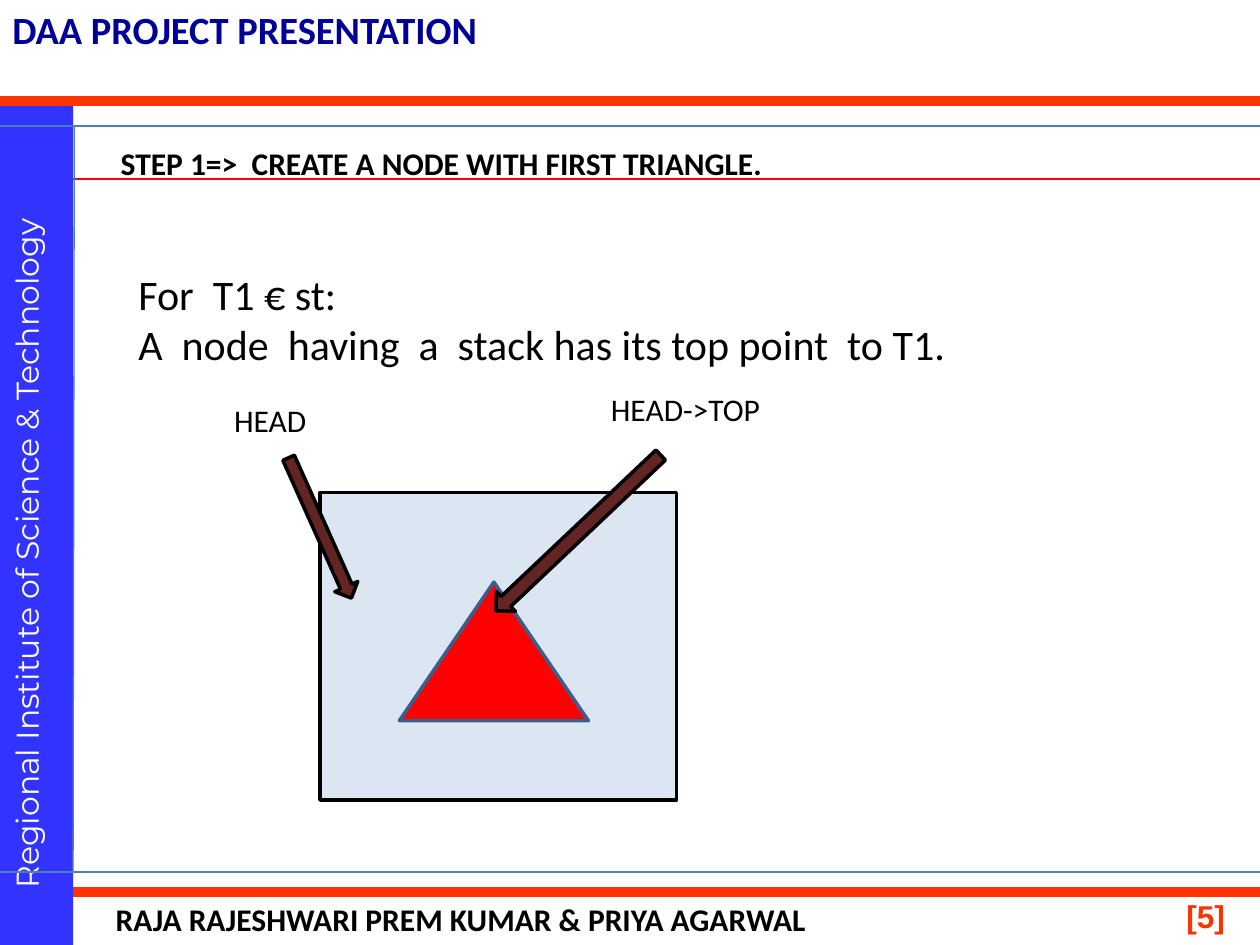
from dataclasses import dataclass

from lxml.etree import SubElement
from pptx import Presentation
from pptx.dml.color import RGBColor
from pptx.enum.shapes import MSO_CONNECTOR as Connector, MSO_SHAPE as Shape
from pptx.enum.text import PP_ALIGN as Align
from pptx.oxml.ns import qn
from pptx.util import Inches, Pt


@dataclass(frozen=True)
class Theme:
    """Colours, fonts and type sizes of the slide."""
    band: str = "3333FF"
    rule: str = "FF3300"
    heading_rule: str = "FF0000"
    frame: str = "4B7EBC"
    title: str = "000099"
    ink: str = "000000"
    paper: str = "FFFFFF"
    node: str = "DCE6F2"
    triangle: str = "FF0000"
    triangle_edge: str = "3A5F8C"
    pointer: str = "632523"
    body_font: str = "Calibri"
    band_font: str = "Montserrat"
    number_font: str = "Arial"
    title_size: int = 22
    body_size: int = 24
    label_size: int = 18
    rule_width: float = 6
    hairline: float = 0.75
    outline: float = 2


THEME = Theme()


def add_rule(slide, start, end, color, width):
    """Draw a straight line between two points."""
    rule = slide.shapes.add_connector(
        Connector.STRAIGHT, *(Inches(value) for value in (*start, *end)))
    rule.line.color.rgb = RGBColor.from_string(color)
    rule.line.width = Pt(width)
    SubElement(rule._element.spPr, qn("a:effectLst"))


def add_figure(slide, preset, box, fill, edge=None, rotation=0):
    """Draw a filled preset shape, outlined when an edge colour is given."""
    figure = slide.shapes.add_shape(preset, *(Inches(value) for value in box))
    figure.shadow.inherit = False
    figure.rotation = rotation
    figure.fill.solid()
    figure.fill.fore_color.rgb = RGBColor.from_string(fill)
    if edge:
        figure.line.color.rgb = RGBColor.from_string(edge)
        figure.line.width = Pt(THEME.outline)
    else:
        figure.line.fill.background()


def add_text(slide, box, lines, size=THEME.label_size, color=THEME.ink,
             font=THEME.body_font, bold=False, align=Align.LEFT, rotation=0, wrap=True):
    """Place a text box with one paragraph per line."""
    label = slide.shapes.add_textbox(*(Inches(value) for value in box))
    label.rotation = rotation
    frame = label.text_frame
    frame.word_wrap = wrap
    frame.text = "\n".join(lines)
    for paragraph in frame.paragraphs:
        paragraph.alignment = align
        paragraph.font.name = font
        paragraph.font.size = Pt(size)
        paragraph.font.bold = bold
        paragraph.font.color.rgb = RGBColor.from_string(color)


def add_page_frame(slide):
    """Build the side band, rules, title and footer."""
    add_rule(slide, (0, 7.08), (10, 7.08), THEME.rule, THEME.rule_width)
    add_figure(slide, Shape.RECTANGLE, (0, 0.8, 0.58, 6.7), THEME.band)
    add_text(slide, (-2.87, 3.87, 6.16, 0.4), ["Regional Institute of Science & Technology"],
             color=THEME.paper, font=THEME.band_font, rotation=270)
    add_rule(slide, (0, 0.8), (10, 0.8), THEME.rule, THEME.rule_width)
    add_rule(slide, (0.58, 1.42), (10, 1.42), THEME.heading_rule, THEME.hairline)
    add_text(slide, (0, 0, 8.75, 0.47), ["DAA PROJECT PRESENTATION"],
             size=THEME.title_size, color=THEME.title, bold=True, align=Align.JUSTIFY)
    add_text(slide, (0.82, 7.09, 5.74, 0.4), ["RAJA RAJESHWARI PREM KUMAR & PRIYA AGARWAL"],
             bold=True, wrap=False)
    add_text(slide, (8.74, 7.07, 1.08, 0.58), ["[5]"], color=THEME.rule,
             font=THEME.number_font, bold=True, align=Align.RIGHT)
    for start, end in (((0, 1), (10, 1)), ((0, 6.92), (10, 6.92)), ((0.59, 1), (0.58, 6.92))):
        add_rule(slide, start, end, THEME.frame, THEME.hairline)


def add_step(slide):
    """Write the step heading and its explanation."""
    add_text(slide, (0.86, 1.09, 8.75, 0.4),
             ["STEP 1=>  CREATE A NODE WITH FIRST TRIANGLE."], bold=True)
    add_text(slide, (1, 2.08, 6.75, 0.91),
             ["For  T1 € st:", "A  node  having  a  stack has its top point  to T1."],
             size=THEME.body_size)


def add_node_diagram(slide):
    """Draw the node, its triangle and the two labelled pointers."""
    add_figure(slide, Shape.RECTANGLE, (2.54, 3.91, 2.83, 2.44), THEME.node, THEME.ink)
    add_figure(slide, Shape.ISOSCELES_TRIANGLE, (3.17, 4.62, 1.5, 1.1),
               THEME.triangle, THEME.triangle_edge)
    pointers = (
        ("HEAD->TOP", (4.75, 3.05, 2.28, 0.4), (3.69, 4.12, 1.8, 0.22), 316.6),
        ("HEAD", (1.76, 3.13, 1.97, 0.4), (1.93, 4.09, 1.22, 0.2), 245.9),
    )
    for name, name_box, arrow_box, angle in pointers:
        add_text(slide, name_box, [name])
        add_figure(slide, Shape.LEFT_ARROW, arrow_box, THEME.pointer, THEME.ink, angle)


def main():
    """Build and save the slide."""
    deck = Presentation()
    deck.slide_width, deck.slide_height = Inches(10), Inches(7.5)
    slide = deck.slides.add_slide(deck.slide_layouts[6])
    add_page_frame(slide)
    add_step(slide)
    add_node_diagram(slide)
    deck.save("out.pptx")


if __name__ == "__main__":
    main()
